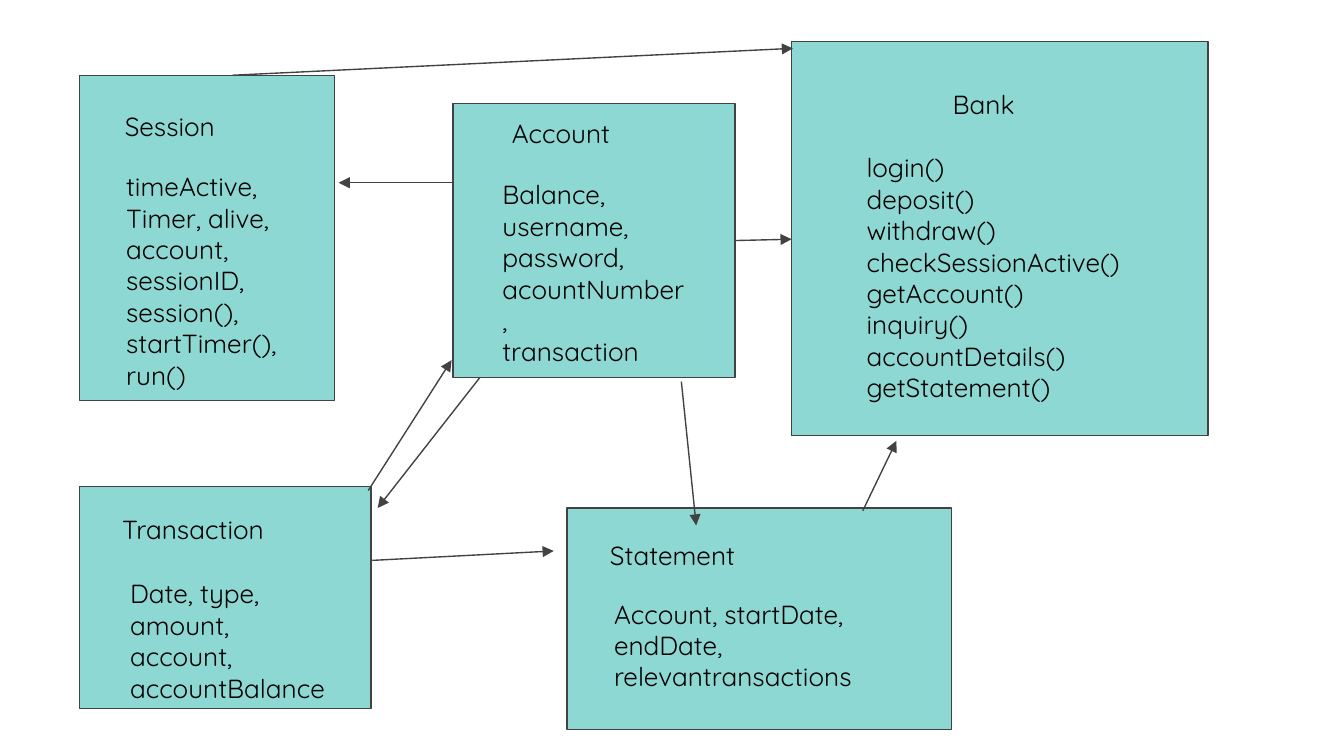
"""Build a class diagram slide of a banking system."""
from dataclasses import dataclass

from lxml import etree
from pptx import Presentation
from pptx import util as u
from pptx.dml.color import RGBColor
from pptx.enum import shapes, text
from pptx.oxml import ns

TEAL = RGBColor(0x8D, 0xD8, 0xD3)
GREY = RGBColor(0x42, 0x42, 0x42)
BLACK = RGBColor(0x00, 0x00, 0x00)
FONT = "Quicksand"
SIZE = u.Pt(14)
LINE = u.Pt(0.75)

Rect = tuple[float, float, float, float]


@dataclass
class ClassBox:
    name: str
    members: list[str]
    box: Rect
    name_at: Rect
    members_at: Rect


@dataclass
class Arrow:
    start: tuple[float, float]
    end: tuple[float, float]


CLASSES = [
    ClassBox("Bank",
             ["login()", "deposit()", "withdraw()", "checkSessionActive()",
              "getAccount()", "inquiry()", "accountDetails()", "getStatement()"],
             (5.89, 0.31, 3.1, 2.93), (6.99, 0.56, 0.9, 0.35), (6.35, 1.03, 2.17, 2.04)),
    ClassBox("Transaction", ["Date, type, amount, account, accountBalance"],
             (0.59, 3.62, 2.17, 1.65), (0.81, 3.72, 1.68, 0.35), (0.87, 4.2, 1.74, 0.86)),
    ClassBox("Statement", ["Account, startDate, endDate, relevantransactions"],
             (4.22, 3.78, 2.86, 1.65), (4.44, 3.91, 1.48, 0.35), (4.47, 4.35, 2.29, 0.93)),
    ClassBox("Account", ["Balance, username, password, acountNumber,", "transaction"],
             (3.37, 0.77, 2.1, 2.04), (3.71, 0.77, 1.29, 0.35), (3.64, 1.23, 1.57, 1.35)),
    ClassBox("Session",
             ["timeActive,", "Timer, alive, account, sessionID,", "session(),",
              "startTimer(),", "run()"],
             (0.59, 0.56, 1.9, 2.42), (0.83, 0.72, 1.29, 0.35), (0.84, 1.17, 1.48, 1.65)),
]

ARROWS = [
    Arrow((5.47, 1.79), (5.89, 1.78)),
    Arrow((6.42, 3.8), (6.67, 3.28)),
    Arrow((2.77, 4.17), (4.12, 4.1)),
    Arrow((2.74, 3.65), (3.36, 2.68)),
    Arrow((3.57, 2.81), (2.81, 3.78)),
    Arrow((3.38, 1.36), (2.52, 1.36)),
    Arrow((1.73, 0.56), (5.9, 0.36)),
    Arrow((5.07, 2.84), (5.18, 3.91)),
]


def add_text(s, at: Rect, lines: list[str]) -> None:
    tf = s.shapes.add_textbox(*map(u.Inches, at)).text_frame
    tf.word_wrap = True
    tf.auto_size = text.MSO_AUTO_SIZE.NONE
    tf.vertical_anchor = text.MSO_ANCHOR.TOP
    tf.margin_left = tf.margin_right = tf.margin_top = tf.margin_bottom = u.Inches(0.1)
    for i, line in enumerate(lines):
        p = tf.add_paragraph() if i else tf.paragraphs[0]
        r = p.add_run()
        r.text = line
        r.font.name = FONT
        r.font.size = SIZE
        r.font.color.rgb = BLACK


def add_class(s, item: ClassBox) -> None:
    sp = s.shapes.add_shape(shapes.MSO_SHAPE.RECTANGLE, *map(u.Inches, item.box))
    sp.shadow.inherit = False
    sp.fill.solid()
    sp.fill.fore_color.rgb = TEAL
    sp.line.color.rgb = GREY
    sp.line.width = LINE
    add_text(s, item.name_at, [item.name])
    add_text(s, item.members_at, item.members)


def add_arrow(s, arrow: Arrow) -> None:
    ends = map(u.Inches, arrow.start + arrow.end)
    cx = s.shapes.add_connector(shapes.MSO_CONNECTOR.STRAIGHT, *ends)
    cx.line.color.rgb = GREY
    cx.line.width = LINE
    etree.SubElement(cx.line._get_or_add_ln(), ns.qn("a:tailEnd"), type="triangle")
    etree.SubElement(cx._element.spPr, ns.qn("a:effectLst"))


def main() -> None:
    prs = Presentation()
    prs.slide_width = u.Inches(10)
    prs.slide_height = u.Inches(10 * 9 / 16)
    s = prs.slides.add_slide(prs.slide_layouts[6])
    for item in CLASSES:
        add_class(s, item)
    for arrow in ARROWS:
        add_arrow(s, arrow)
    prs.save("out.pptx")


if __name__ == "__main__":
    main()
